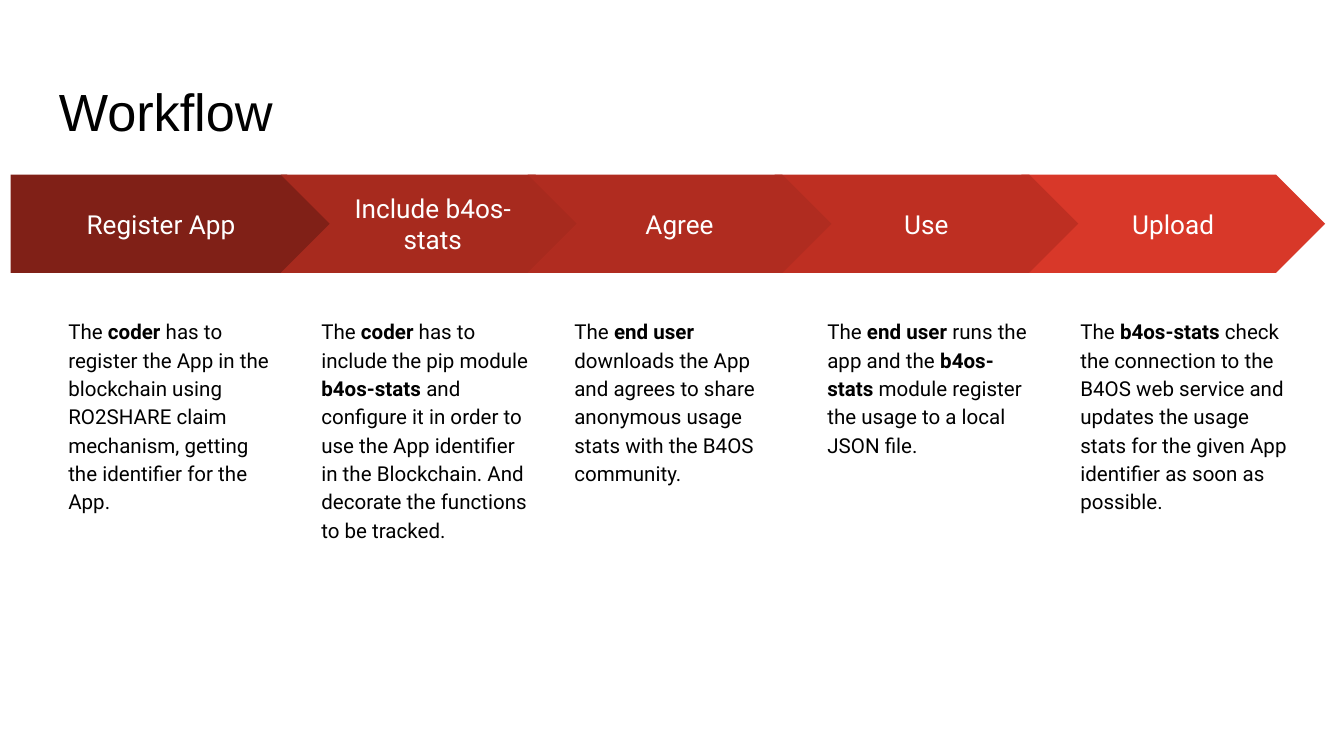
from pptx import Presentation
from pptx.dml.color import RGBColor
from pptx.enum.shapes import MSO_SHAPE as Shape
from pptx.enum.text import MSO_ANCHOR as Anchor, PP_ALIGN as Align
from pptx.util import Inches, Pt

# Content: label, fill, text with bold parts between bars
TITLE = "Workflow"
STEPS = [
    ("Register App", "plate",
     "The |coder| has to register the App in the blockchain using RO2SHARE "
     "claim mechanism, getting the identifier for the App."),
    ("Include b4os-stats", "include",
     "The |coder| has to include the pip module |b4os-stats |and configure it "
     "in order to use the App identifier in the Blockchain. And decorate the "
     "functions to be tracked."),
    ("Agree", "agree",
     "The |end user |downloads the App and agrees to share anonymous usage "
     "stats with the B4OS community."),
    ("Use", "use",
     "The |end user |runs the app and the |b4os-stats |module register the "
     "usage to a local JSON file."),
    ("Upload", "upload",
     "The |b4os-stats| check the connection to the B4OS web service and "
     "updates the usage stats for the given App identifier as soon as possible."),
]
ORDER = [0, 1, 4, 3, 2]  # back to front: later arrows overlap earlier ones
COLORS = {
    "plate": "802017", "include": "A72A1E", "agree": "B02C20",
    "use": "BE2F22", "upload": "D83829", "text": "000000", "label": "FFFFFF",
}

# Slide in 16:9
deck = Presentation()
deck.slide_width = Inches(10)
deck.slide_height = Inches(10 * 9 / 16)
slide = deck.slides.add_slide(deck.slide_layouts[6])


def color(name):
    return RGBColor.from_string(COLORS[name])


def setup(shape, size, face, ink):
    """Set frame and font; return the first paragraph."""
    frame = shape.text_frame
    frame.word_wrap = True
    frame.margin_left = frame.margin_right = Inches(0.1)
    frame.margin_top = frame.margin_bottom = Inches(0.1)
    para = frame.paragraphs[0]
    para.font.size, para.font.name = Pt(size), face
    para.font.color.rgb = color(ink)
    return para


def add_box(left, top, width, height):
    return slide.shapes.add_textbox(*map(Inches, (left, top, width, height)))


def add_arrow(step, label, fill):
    if step == 0:
        kind, left, width = Shape.PENTAGON, 0.08, 2.42
    else:  # chevrons spread evenly from 2.09 to 7.6
        kind, left, width = Shape.CHEVRON, 2.09 + 5.51 * (step - 1) / 3, 2.26
    arrow = slide.shapes.add_shape(
        kind, Inches(left), Inches(1.3), Inches(width), Inches(0.73))
    arrow.shadow.inherit = False
    arrow.fill.solid()
    arrow.fill.fore_color.rgb = color(fill)
    arrow.line.fill.background()
    para = setup(arrow, 14, "Roboto", "label")
    para.alignment = Align.CENTER
    para.add_run().text = label
    arrow.text_frame.vertical_anchor = Anchor.MIDDLE


def add_note(step, text):
    # Notes spread evenly from 0.41 to 7.94
    para = setup(add_box(0.41 + 7.53 * step / 4, 2.25, 1.77, 2.57),
                 11, "Roboto", "text")
    para.line_spacing = 1.15
    for i, part in enumerate(text.split("|")):
        run = para.add_run()
        run.text = part
        run.font.bold = i % 2 == 1


# Title
head = setup(add_box(0.34, 0.49, 9.32, 0.63), 28, "Arial", "text")
head.add_run().text = TITLE

# Steps
for step in ORDER:
    label, fill, text = STEPS[step]
    add_arrow(step, label, fill)
    add_note(step, text)

deck.save("out.pptx")
